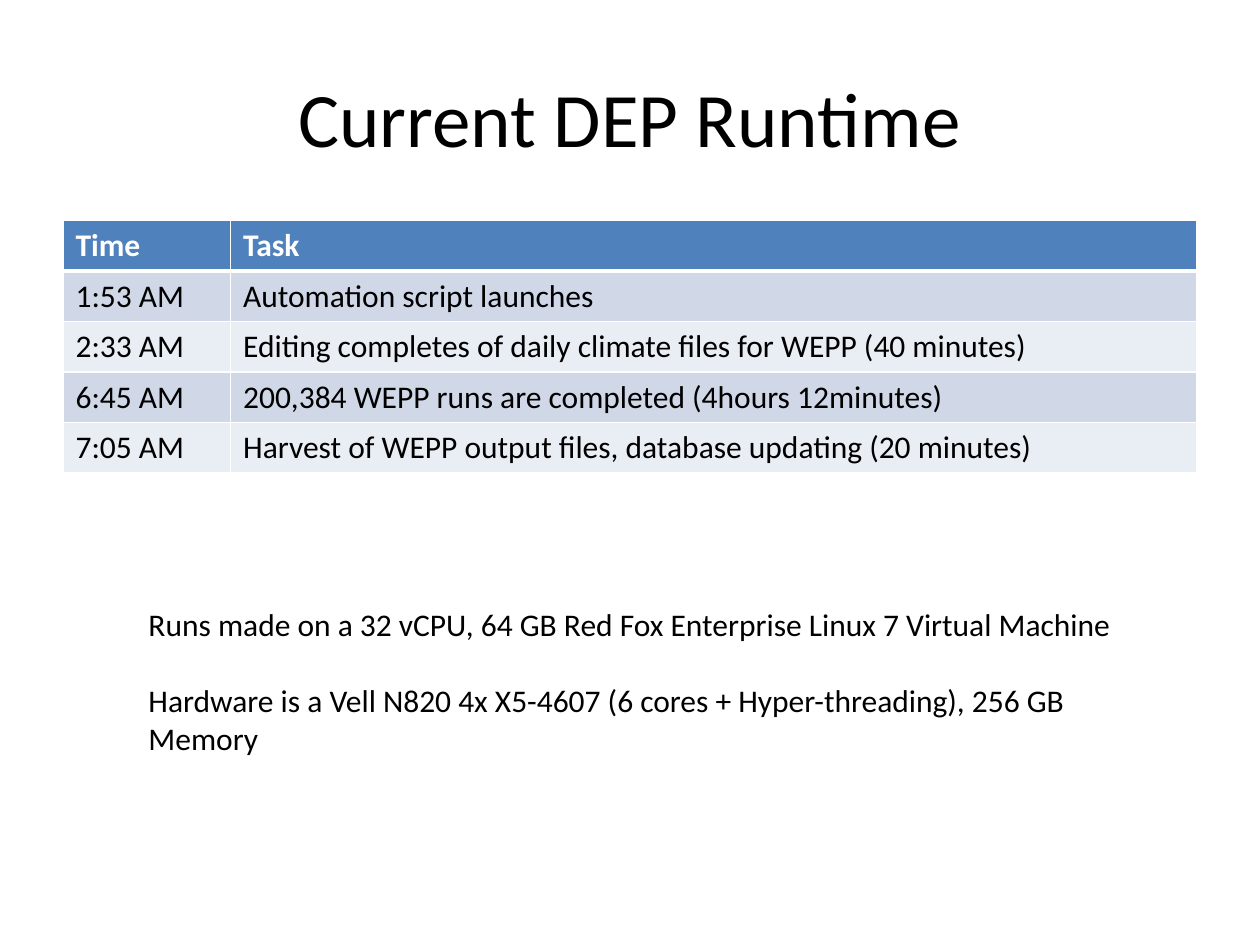
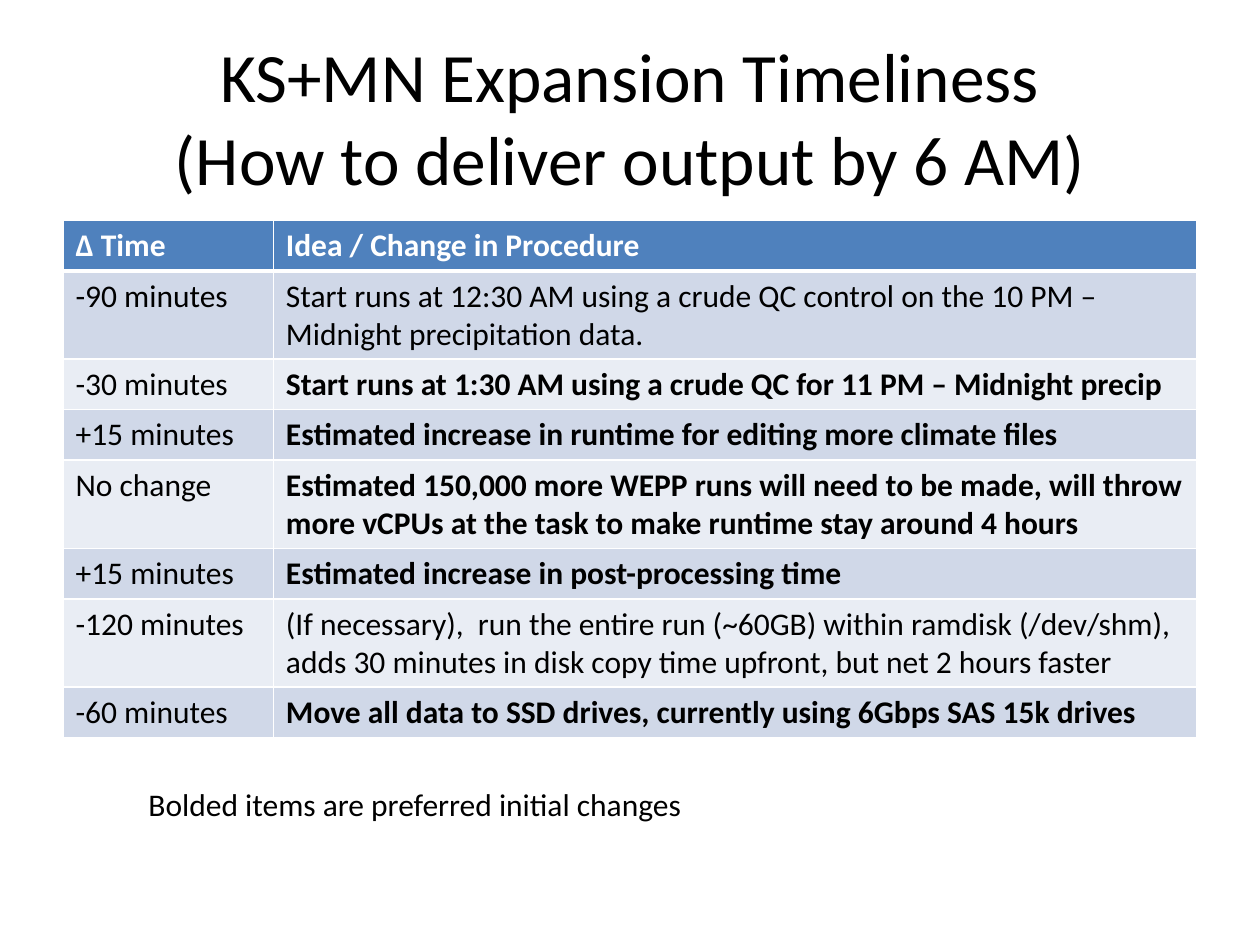
from lxml import etree
from pptx import Presentation
from pptx.dml.color import RGBColor
from pptx.enum.text import MSO_ANCHOR, PP_ALIGN
from pptx.oxml.ns import qn
from pptx.util import Inches, Pt

LEFT, CENTER = PP_ALIGN.LEFT, PP_ALIGN.CENTER
MIDDLE = MSO_ANCHOR.MIDDLE
FONT = "Calibri"
BLACK = RGBColor(0x00, 0x00, 0x00)
WHITE = RGBColor(0xFF, 0xFF, 0xFF)
BLUE = RGBColor(0x4F, 0x81, 0xBD)
BANDS = [RGBColor(0xE9, 0xED, 0xF4), RGBColor(0xD0, 0xD8, 0xE8)]
ROW, LINE = 0.4, 0.3  # height of a one-line row, and of each further line


def write(frame, *texts, size=18, color=BLACK, bold=False, align=LEFT, gap=0):
    frame.word_wrap = True
    for i, text in enumerate(texts):
        para = frame.paragraphs[0] if i == 0 else frame.add_paragraph()
        para.text = text
        para.alignment = align
        para.space_before = Pt(gap if i else 0)
        for run in para.runs:
            run.font.name = FONT
            run.font.size = Pt(size)
            run.font.bold = bold
            run.font.color.rgb = color


def edge(cell, side, width):
    line = etree.SubElement(cell._tc.get_or_add_tcPr(), qn("a:ln" + side), w=str(Pt(width)))
    fill = etree.SubElement(line, qn("a:solidFill"))
    etree.SubElement(fill, qn("a:srgbClr"), val=str(WHITE))


# Content: each row is first cell, second cell, lines of text, bold second cell
pages = [
    dict(
        title="Current DEP Runtime", size=44, split=1.33,
        head=("Time", "Task"),
        rows=[
            ("1:53 AM", "Automation script launches", 1, False),
            ("2:33 AM", "Editing completes of daily climate files for WEPP (40 minutes)", 1, False),
            ("6:45 AM", "200,384 WEPP runs are completed (4hours 12minutes)", 1, False),
            ("7:05 AM", "Harvest of WEPP output files, database updating (20 minutes)", 1, False),
        ],
        notes=[
            "Runs made on a 32 vCPU, 64 GB Red Fox Enterprise Linux 7 Virtual Machine",
            "Hardware is a Vell N820 4x X5-4607 (6 cores + Hyper-threading), 256 GB Memory",
        ],
        top=4.75, tall=1.31,
    ),
    dict(
        title="KS+MN Expansion Timeliness\v(How to deliver output by 6 AM)", size=39.6, split=1.67,
        head=("Δ Time", "Idea / Change in Procedure"),
        rows=[
            ("-90 minutes", "Start runs at 12:30 AM using a crude QC control on the 10 PM – "
             "Midnight precipitation data.", 2, False),
            ("-30 minutes", "Start runs at 1:30 AM using a crude QC for 11 PM – Midnight precip", 1, True),
            ("+15 minutes", "Estimated increase in runtime for editing more climate files", 1, True),
            ("No change", "Estimated 150,000 more WEPP runs will need to be made, will throw "
             "more vCPUs at the task to make runtime stay around 4 hours", 2, True),
            ("+15 minutes", "Estimated increase in post-processing time", 1, True),
            ("-120 minutes", "(If necessary),  run the entire run (~60GB) within ramdisk (/dev/shm), "
             "adds 30 minutes in disk copy time upfront, but net 2 hours faster", 2, False),
            ("-60 minutes", "Move all data to SSD drives, currently using 6Gbps SAS 15k drives", 1, True),
        ],
        notes=["Bolded items are preferred initial changes"],
        top=6.18, tall=0.4,
    ),
]

deck = Presentation()
deck.slide_width, deck.slide_height = Inches(10), Inches(7.5)

for page in pages:
    slide = deck.slides.add_slide(deck.slide_layouts[6])

    # Title
    title = slide.shapes.add_textbox(Inches(0.5), Inches(0.3), Inches(9), Inches(1.25)).text_frame
    title.vertical_anchor = MIDDLE
    write(title, page["title"], size=page["size"], align=CENTER)

    # Table
    rows = [(*page["head"], 1, True)] + page["rows"]
    tall = sum(ROW + LINE * (row[2] - 1) for row in rows)
    table = slide.shapes.add_table(
        len(rows), 2, Inches(0.5), Inches(1.75), Inches(9), Inches(tall)).table
    table.columns[0].width = Inches(page["split"])
    table.columns[1].width = Inches(9 - page["split"])
    for r, (first, second, lines, bold) in enumerate(rows):
        table.rows[r].height = Inches(ROW + LINE * (lines - 1))
        head = r == 0
        for c, text in enumerate((first, second)):
            cell = table.cell(r, c)
            edge(cell, "L", 1)
            edge(cell, "R", 1)
            edge(cell, "T", 3 if r == 1 else 1)
            edge(cell, "B", 3 if head else 1)
            cell.fill.solid()
            cell.fill.fore_color.rgb = BLUE if head else BANDS[r % 2]
            write(cell.text_frame, text, color=WHITE if head else BLACK,
                  bold=head or (bold and c == 1))

    # Notes under the table
    box = slide.shapes.add_textbox(
        Inches(1.08), Inches(page["top"]), Inches(8.08), Inches(page["tall"]))
    write(box.text_frame, *page["notes"], gap=22)

deck.save("out.pptx")
